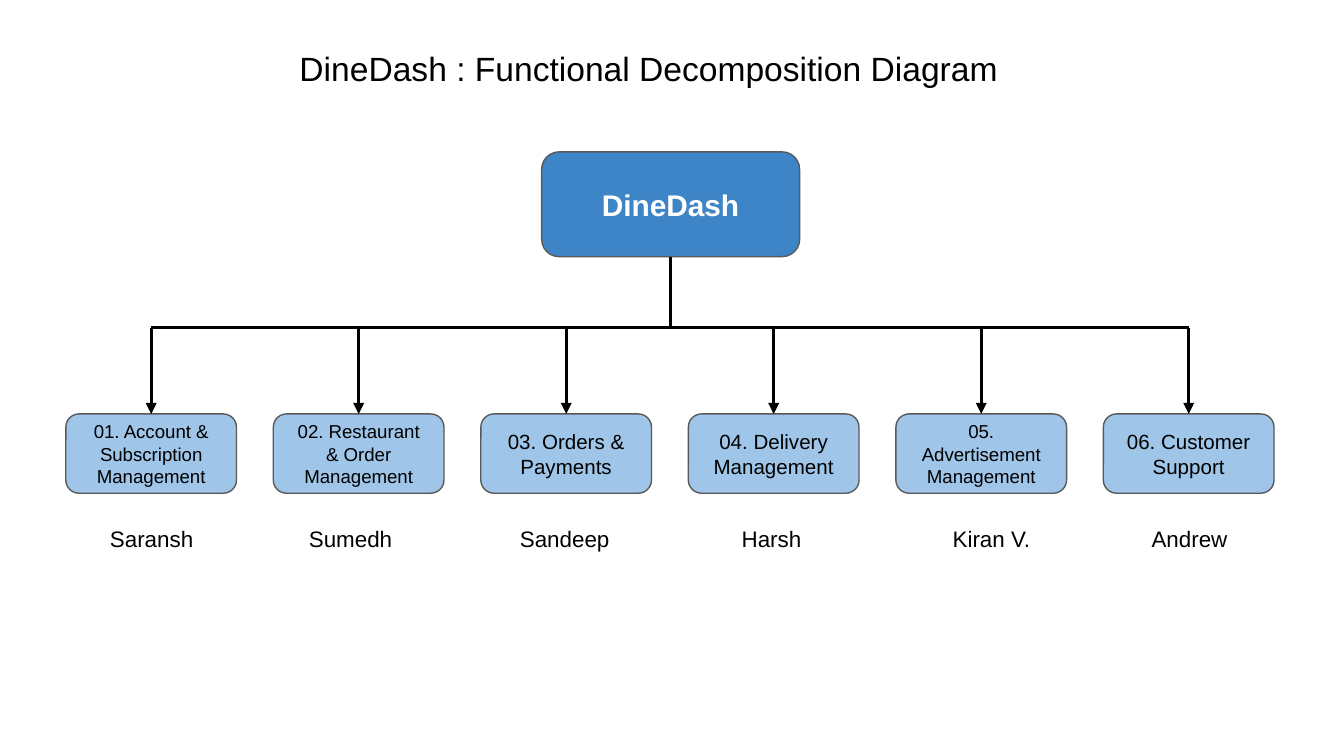
from pptx import Presentation, util as u
from pptx.dml.color import RGBColor
from pptx.enum import shapes, text
from pptx.oxml.ns import qn
from lxml import etree

deck = Presentation()
deck.slide_width = u.Inches(10)
deck.slide_height = deck.slide_width * 9 // 16
slide = deck.slides.add_slide(deck.slide_layouts[6])


def write(shape, words, size=12, color="000000", bold=False, align="LEFT", anchor="TOP", wrap=True):
    frame = shape.text_frame
    frame.word_wrap = wrap
    frame.vertical_anchor = getattr(text.MSO_ANCHOR, anchor)
    frame.margin_left = frame.margin_right = u.Inches(0.1)
    inset = 0.1 if anchor == "MIDDLE" else 0.05
    frame.margin_top = frame.margin_bottom = u.Inches(inset)
    paragraph = frame.paragraphs[0]
    paragraph.alignment = getattr(text.PP_ALIGN, align)
    run = paragraph.add_run()
    run.text = words
    run.font.name, run.font.size, run.font.bold = "Arial", u.Pt(size), bold
    run.font.color.rgb = RGBColor.from_string(color)


def style(shape, fill=None, line="000000", width=1.5, arrow=False):
    if fill:
        shape.fill.solid()
        shape.fill.fore_color.rgb = RGBColor.from_string(fill)
        shape.shadow.inherit = False
    shape.line.color.rgb = RGBColor.from_string(line)
    shape.line.width = u.Pt(width)
    properties = shape.element.spPr
    if arrow:
        etree.SubElement(properties.find(qn("a:ln")), qn("a:tailEnd"), type="triangle")
    if not fill:
        etree.SubElement(properties, qn("a:effectLst"))


# Grid: six equal columns, with rows for the bus, the functions and the owners
left, box_width, box_height = u.Inches(0.49), u.Inches(1.27), u.Inches(0.59)
pitch = (u.Inches(8.21) - left) // 5
bus_y, function_y, owner_y = u.Inches(2.44), u.Inches(3.08), u.Inches(3.86)
centers = [left + column * pitch + box_width // 2 for column in range(6)]

# Title
title = slide.shapes.add_textbox(u.Inches(2.13), u.Inches(0.31), u.Inches(5.45), u.Inches(0.4))
write(title, "DineDash : Functional Decomposition Diagram", size=18, wrap=False)

# Root system
root = slide.shapes.add_shape(shapes.MSO_SHAPE.ROUNDED_RECTANGLE, u.Inches(4.03), u.Inches(1.13),
                              u.Inches(1.92), u.Inches(0.78))
style(root, fill="3D85C6", line="595959", width=0.75)
write(root, "DineDash", size=16, color="FFFFFF", bold=True, align="CENTER", anchor="MIDDLE")

# Trunk and bus
root_center = root.left + root.width // 2
trunk = slide.shapes.add_connector(shapes.MSO_CONNECTOR.STRAIGHT, root_center, root.top + root.height,
                                   root_center, bus_y)
trunk.begin_connect(root, 2)
style(trunk)
bus = slide.shapes.add_connector(shapes.MSO_CONNECTOR.STRAIGHT, centers[0], bus_y, centers[-1], bus_y)
style(bus)

# Functions with their arrows and owners: label, size, owner, owner's left edge
functions = [
    ("01. Account & Subscription Management", 10, "Saransh", 0.72),
    ("02. Restaurant & Order Management", 10, "Sumedh", 2.2),
    ("03. Orders & Payments", 11, "Sandeep", 3.77),
    ("04. Delivery Management", 11, "Harsh", 5.42),
    ("05. Advertisement Management", 10, "Kiran V.", 6.99),
    ("06. Customer Support", 11, "Andrew", 8.47),
]
for center, (label, size, owner, owner_left) in zip(centers, functions):
    function = slide.shapes.add_shape(shapes.MSO_SHAPE.ROUNDED_RECTANGLE, center - box_width // 2,
                                      function_y, box_width, box_height)
    style(function, fill="9FC5E8", line="595959", width=0.75)
    write(function, label, size=size, align="CENTER", anchor="MIDDLE")

    branch = slide.shapes.add_connector(shapes.MSO_CONNECTOR.STRAIGHT, center, bus_y, center, function_y)
    branch.end_connect(function, 0)
    style(branch, arrow=True)

    owner_name = slide.shapes.add_textbox(u.Inches(owner_left), owner_y, u.Inches(0.94), u.Inches(0.3))
    write(owner_name, owner)

deck.save("out.pptx")
